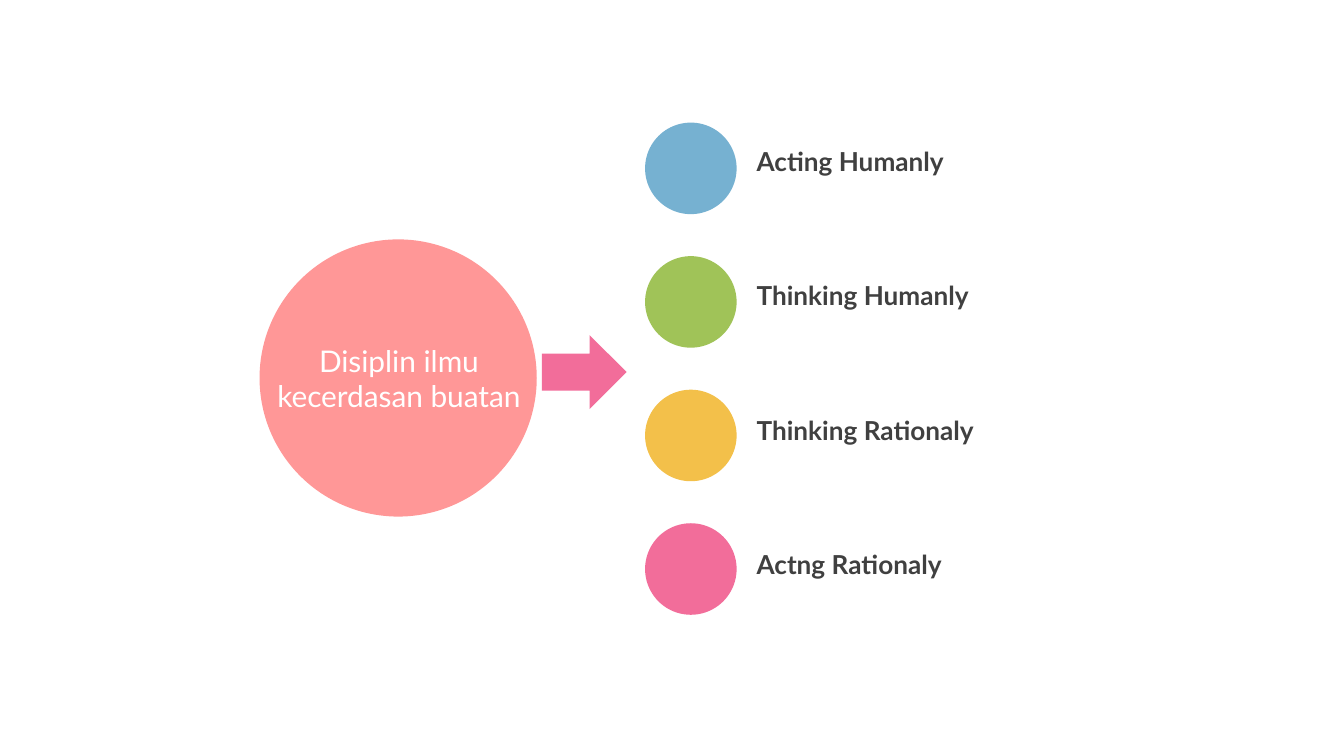
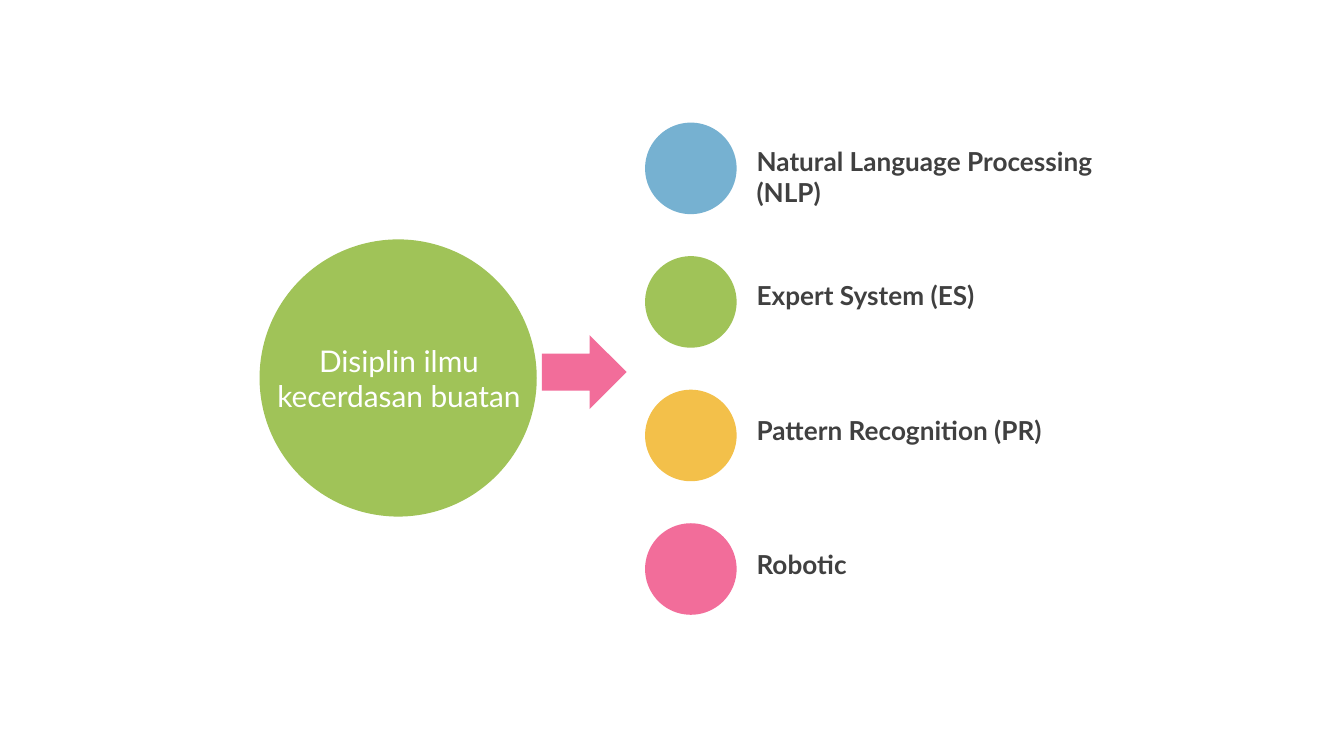
from pptx import Presentation
from pptx import util as u
from pptx.dml.color import RGBColor
from pptx.enum import shapes, text

PX = 5715  # EMU per px, 160 px to the inch
FONT = "Lato"
HEX = {
    "coral": "FF9797",
    "blue": "76B1D1",
    "green": "A0C358",
    "gold": "F3C04A",
    "pink": "F26D9A",
    "ink": "404040",
    "white": "FFFFFF",
}
DOTS = ["blue", "green", "gold", "pink"]
TITLE = "Disiplin ilmu kecerdasan buatan"
TOPICS = [
    ("coral", ["Acting Humanly", "Thinking Humanly",
               "Thinking Rationaly", "Actng Rationaly"]),
    ("green", ["Natural Language Processing (NLP)", "Expert System (ES)",
               "Pattern Recognition (PR)", "Robotic"]),
]


class Deck:
    def __init__(self, width, height):
        self.prs = Presentation()
        self.prs.slide_width = width * PX
        self.prs.slide_height = height * PX
        self.slide = None

    def page(self):
        self.slide = self.prs.slides.add_slide(self.prs.slide_layouts[6])

    def shape(self, kind, box, color):
        item = self.slide.shapes.add_shape(kind, *[n * PX for n in box])
        item.shadow.inherit = False
        item.fill.solid()
        item.fill.fore_color.rgb = RGBColor.from_string(HEX[color])
        item.line.fill.background()

    def label(self, words, box, size, color, bold=False,
              align=text.PP_ALIGN.LEFT, anchor=text.MSO_ANCHOR.TOP):
        frame = self.slide.shapes.add_textbox(*[n * PX for n in box]).text_frame
        frame.word_wrap = True
        frame.vertical_anchor = anchor
        para = frame.paragraphs[0]
        para.text = words
        para.alignment = align
        para.font.name = FONT
        para.font.size = u.Pt(size)
        para.font.bold = bold
        para.font.color.rgb = RGBColor.from_string(HEX[color])


def topic(deck, color, names):
    deck.page()
    oval = shapes.MSO_SHAPE.OVAL

    # Main circle and arrow
    deck.shape(oval, (309, 285, 330, 330), color)
    deck.shape(shapes.MSO_SHAPE.RIGHT_ARROW, (645, 399, 101, 88), "pink")

    # Column of dots
    for row, dot in enumerate(DOTS):
        deck.shape(oval, (768, 146 + row * 159, 109, 109), dot)

    # Column of names
    for row, name in enumerate(names):
        deck.label(name, (885, 165 + row * 160, 496, 54), 14, "ink", bold=True)

    # Title inside the circle
    deck.label(TITLE, (312, 382, 326, 136), 16, "white",
               align=text.PP_ALIGN.CENTER, anchor=text.MSO_ANCHOR.MIDDLE)


def main():
    deck = Deck(1600, 900)
    for color, names in TOPICS:
        topic(deck, color, names)
    deck.prs.save("out.pptx")


if __name__ == "__main__":
    main()
